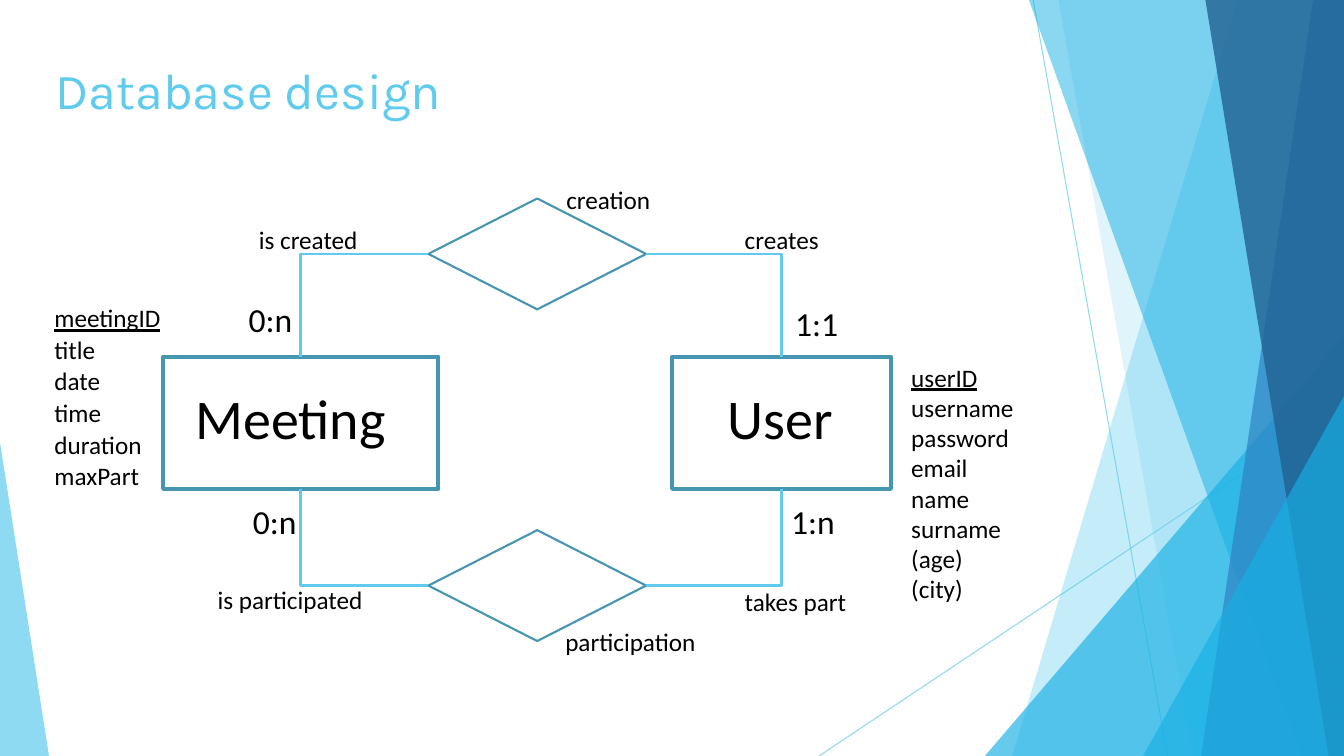
from dataclasses import dataclass

from lxml.etree import SubElement
from pptx import Presentation
from pptx.dml.color import RGBColor
from pptx.enum.shapes import MSO_CONNECTOR as Line, MSO_SHAPE as Preset
from pptx.enum.text import MSO_ANCHOR as Anchor, MSO_AUTO_SIZE as AutoSize, PP_ALIGN as Align
from pptx.oxml.ns import qn
from pptx.shapes.autoshape import Shape
from pptx.shapes.connector import Connector
from pptx.shapes.placeholder import SlidePlaceholder
from pptx.slide import Slide
from pptx.util import Pt

PAGE_WIDTH, PAGE_HEIGHT = 960, 540
TOP, LEFT, BOTTOM, RIGHT = range(4)  # connection sites of a shape


@dataclass(frozen=True)
class Theme:
    sky: str = "5FCBEF"
    cyan: str = "17B0E4"
    blue: str = "2E83C3"
    navy: str = "226292"
    outline: str = "4696B1"
    ink: str = "000000"
    title_font: str = "Karla"
    text_font: str = "Calibri"
    title_size: int = 36
    entity_size: int = 40
    cardinality_size: int = 24
    role_size: int = 18


THEME = Theme()


@dataclass(frozen=True)
class Facet:
    """A band whose slanted left edge runs from top_x to bottom_x."""
    top_x: float
    bottom_x: float
    color: str
    opacity: int


@dataclass(frozen=True)
class Corner:
    """A triangle standing on the page's bottom edge; apex 0 is left, 1 is right."""
    left: float
    top: float
    width: float
    apex: int
    color: str
    opacity: int


@dataclass(frozen=True)
class Node:
    preset: Preset
    left: float
    top: float
    width: float
    height: float
    line_width: float


@dataclass(frozen=True)
class Label:
    text: str
    left: float
    top: float
    width: float
    size: int


@dataclass(frozen=True)
class AttributeList:
    placeholder: int
    left: float
    top: float
    width: float
    height: float
    space_after: float
    names: tuple[str, ...]


RAYS = [(738, 0, 834, 540), (960, 290, 585, 540)]
BACKDROP = [
    Facet(884, 723, THEME.sky, 36),
    Facet(756, 852, THEME.sky, 20),
    Corner(703.5, 240, 256.5, 1, THEME.cyan, 66),
    Facet(735, 929.5, THEME.cyan, 50),
    Facet(938, 858, THEME.blue, 70),
    Facet(861, 949, THEME.navy, 80),
    Corner(816.5, 283, 143.5, 1, THEME.cyan, 66),
    Corner(0, 316, 35, 0, THEME.sky, 70),
]

MEETING = Node(Preset.RECTANGLE, 116.6, 254.9, 196.6, 94.3, 3)
USER = Node(Preset.RECTANGLE, 480.2, 254.9, 156.2, 94.3, 3)
CREATION = Node(Preset.FLOWCHART_DECISION, 306, 141.8, 155.5, 79.2, 1.5)
PARTICIPATION = Node(Preset.FLOWCHART_DECISION, 306, 378.7, 155.5, 79.2, 1.5)
LINKS = [
    (CREATION, LEFT, MEETING, TOP),
    (CREATION, RIGHT, USER, TOP),
    (PARTICIPATION, RIGHT, USER, BOTTOM),
    (PARTICIPATION, LEFT, MEETING, BOTTOM),
]

LABELS = [
    Label("Meeting", 132.5, 270.7, 190, THEME.entity_size),
    Label("User", 512.6, 270.7, 129, THEME.entity_size),
    Label("creation", 397.4, 128.2, 123, THEME.role_size),
    Label("participation", 396.7, 443.5, 124.6, THEME.role_size),
    Label("1:1", 560.9, 213.1, 46, THEME.cardinality_size),
    Label("0:n", 170.6, 210.2, 61, THEME.cardinality_size),
    Label("0:n", 173.5, 354.2, 69, THEME.cardinality_size),
    Label("1:n", 558, 354.2, 53, THEME.cardinality_size),
    Label("creates", 524.9, 157, 90.7, THEME.role_size),
    Label("is created", 177.8, 157, 99.4, THEME.role_size),
    Label("takes part", 524.9, 415.4, 97, THEME.role_size),
    Label("is participated", 148.3, 414, 123, THEME.role_size),
]

ATTRIBUTE_LISTS = [
    AttributeList(1, 31.7, 212.4, 156, 143, 1,
                  ("meetingID", "title", "date", "time", "duration", "maxPart")),
    AttributeList(2, 643.7, 254.9, 132.5, 204, 0,
                  ("userID", "username", "password", "email", "name", "surname",
                   "(age)", "(city)")),
]


def set_opacity(shape: Shape | Connector, percent: int) -> None:
    for color in shape._element.iter(qn("a:srgbClr")):
        SubElement(color, qn("a:alpha")).set("val", str(percent * 1000))


def style_line(line: Connector, width: float) -> None:
    line.line.color.rgb = RGBColor.from_string(THEME.sky)
    line.line.width = Pt(width)
    SubElement(line._element.spPr, qn("a:effectLst"))


def style_text(para, font: str, size: int, color: str) -> None:
    para.font.name, para.font.size = font, Pt(size)
    para.font.color.rgb = RGBColor.from_string(color)


def place(box: SlidePlaceholder, left: float, top: float, width: float, height: float) -> None:
    box.left, box.top, box.width, box.height = Pt(left), Pt(top), Pt(width), Pt(height)
    box.text_frame.auto_size = AutoSize.NONE
    box.text_frame.vertical_anchor = Anchor.TOP
    box._element.getparent().append(box._element)  # bring in front of the backdrop


def draw_backdrop(page: Slide) -> None:
    for ends in RAYS:
        ray = page.shapes.add_connector(Line.STRAIGHT, *map(Pt, ends))
        style_line(ray, 0.75)
        set_opacity(ray, 70)
    for part in BACKDROP:
        if isinstance(part, Facet):
            outline = page.shapes.build_freeform(Pt(part.top_x), 0)
            outline.add_line_segments([(Pt(PAGE_WIDTH), 0), (Pt(PAGE_WIDTH), Pt(PAGE_HEIGHT)),
                                       (Pt(part.bottom_x), Pt(PAGE_HEIGHT))])
            shape = outline.convert_to_shape()
        else:
            shape = page.shapes.add_shape(Preset.ISOSCELES_TRIANGLE, Pt(part.left), Pt(part.top),
                                          Pt(part.width), Pt(PAGE_HEIGHT - part.top))
            shape.adjustments[0] = part.apex
        shape.shadow.inherit = False
        shape.line.fill.background()
        shape.fill.solid()
        shape.fill.fore_color.rgb = RGBColor.from_string(part.color)
        set_opacity(shape, part.opacity)


def draw_title(page: Slide, text: str) -> None:
    title = page.shapes.title
    place(title, 32.4, 38.9, 828, 67.7)
    title.text_frame.text = text
    para = title.text_frame.paragraphs[0]
    para.alignment = Align.LEFT
    style_text(para, THEME.title_font, THEME.title_size, THEME.sky)


def draw_attributes(page: Slide, attributes: AttributeList) -> None:
    """Fill a body placeholder with attribute names, the key underlined."""
    box = page.placeholders[attributes.placeholder]
    place(box, attributes.left, attributes.top, attributes.width, attributes.height)
    box.text_frame.text = "\n".join(attributes.names)
    for index, para in enumerate(box.text_frame.paragraphs):
        style_text(para, THEME.text_font, THEME.role_size, THEME.ink)
        para.font.underline = index == 0
        para.space_before, para.space_after = Pt(0), Pt(attributes.space_after)
        properties = para._p.get_or_add_pPr()
        properties.set("marL", "0")
        properties.set("indent", "0")
        bullet = SubElement(properties, qn("a:buNone"))
        properties.find(qn("a:defRPr")).addprevious(bullet)


def draw_node(page: Slide, node: Node) -> Shape:
    shape = page.shapes.add_shape(node.preset, Pt(node.left), Pt(node.top),
                                  Pt(node.width), Pt(node.height))
    shape.shadow.inherit = False
    shape.fill.background()
    shape.line.color.rgb = RGBColor.from_string(THEME.outline)
    shape.line.width = Pt(node.line_width)
    return shape


def draw_link(page: Slide, start: Shape, start_site: int, end: Shape, end_site: int) -> None:
    """Join two nodes by a line with a single right-angled bend."""
    link = page.shapes.add_connector(Line.ELBOW, 0, 0, 0, 0)
    link.begin_connect(start, start_site)
    link.end_connect(end, end_site)
    link._element.spPr.find(qn("a:prstGeom")).set("prst", "bentConnector2")
    style_line(link, 2)


def draw_label(page: Slide, label: Label) -> None:
    box = page.shapes.add_textbox(Pt(label.left), Pt(label.top), Pt(label.width),
                                  Pt(label.size * 1.2 + 7.2))
    box.text_frame.word_wrap = True
    box.text_frame.auto_size = AutoSize.SHAPE_TO_FIT_TEXT
    box.text_frame.text = label.text
    style_text(box.text_frame.paragraphs[0], THEME.text_font, label.size, THEME.ink)


def main() -> None:
    deck = Presentation()
    deck.slide_width, deck.slide_height = Pt(PAGE_WIDTH), Pt(PAGE_HEIGHT)
    page = deck.slides.add_slide(deck.slide_layouts.get_by_name("Two Content"))
    draw_backdrop(page)
    draw_title(page, "Database design")
    for attributes in ATTRIBUTE_LISTS:
        draw_attributes(page, attributes)
    shapes = {node: draw_node(page, node) for node in (MEETING, USER, CREATION, PARTICIPATION)}
    for start, start_site, end, end_site in LINKS:
        draw_link(page, shapes[start], start_site, shapes[end], end_site)
    for label in LABELS:
        draw_label(page, label)
    deck.save("out.pptx")


if __name__ == "__main__":
    main()
